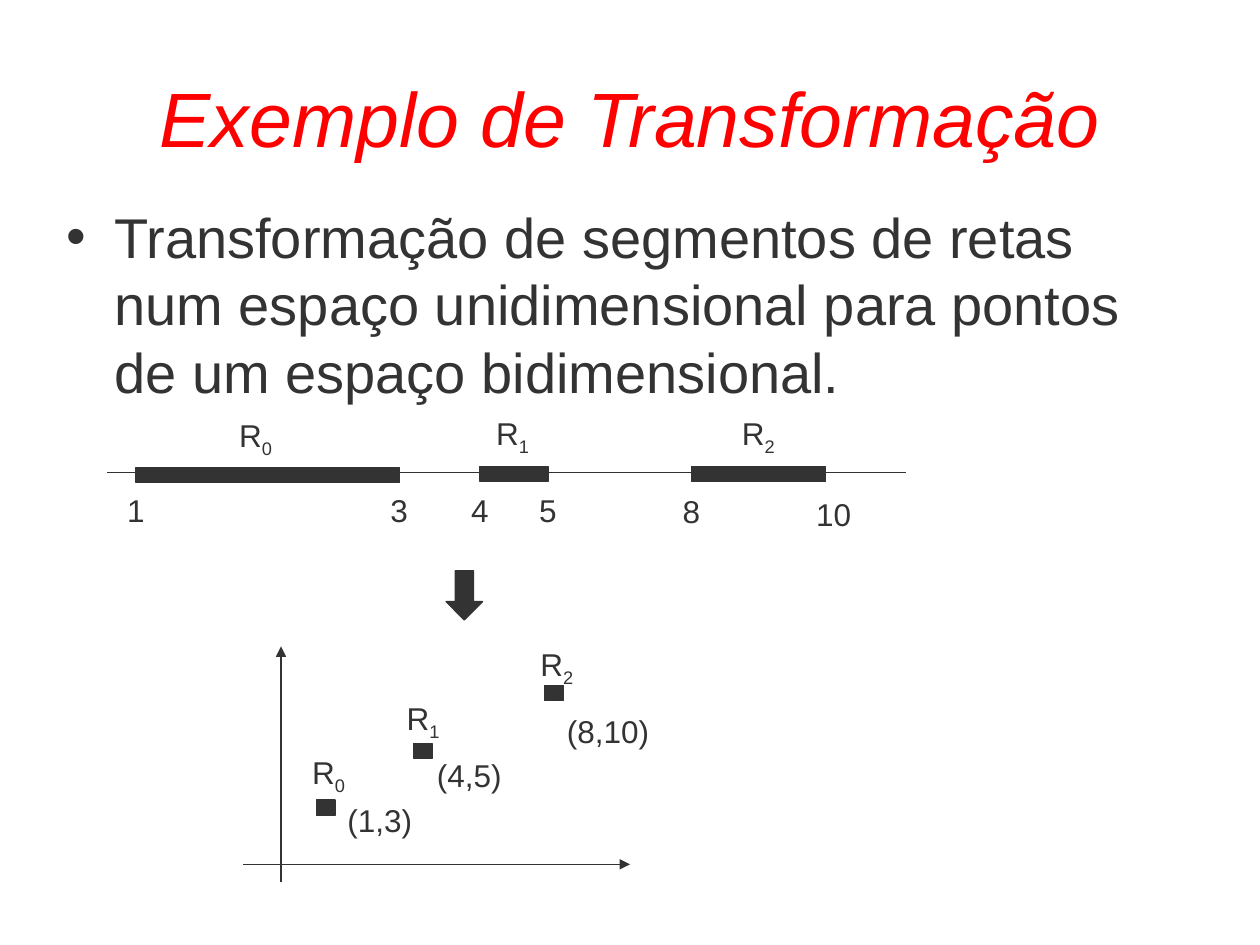
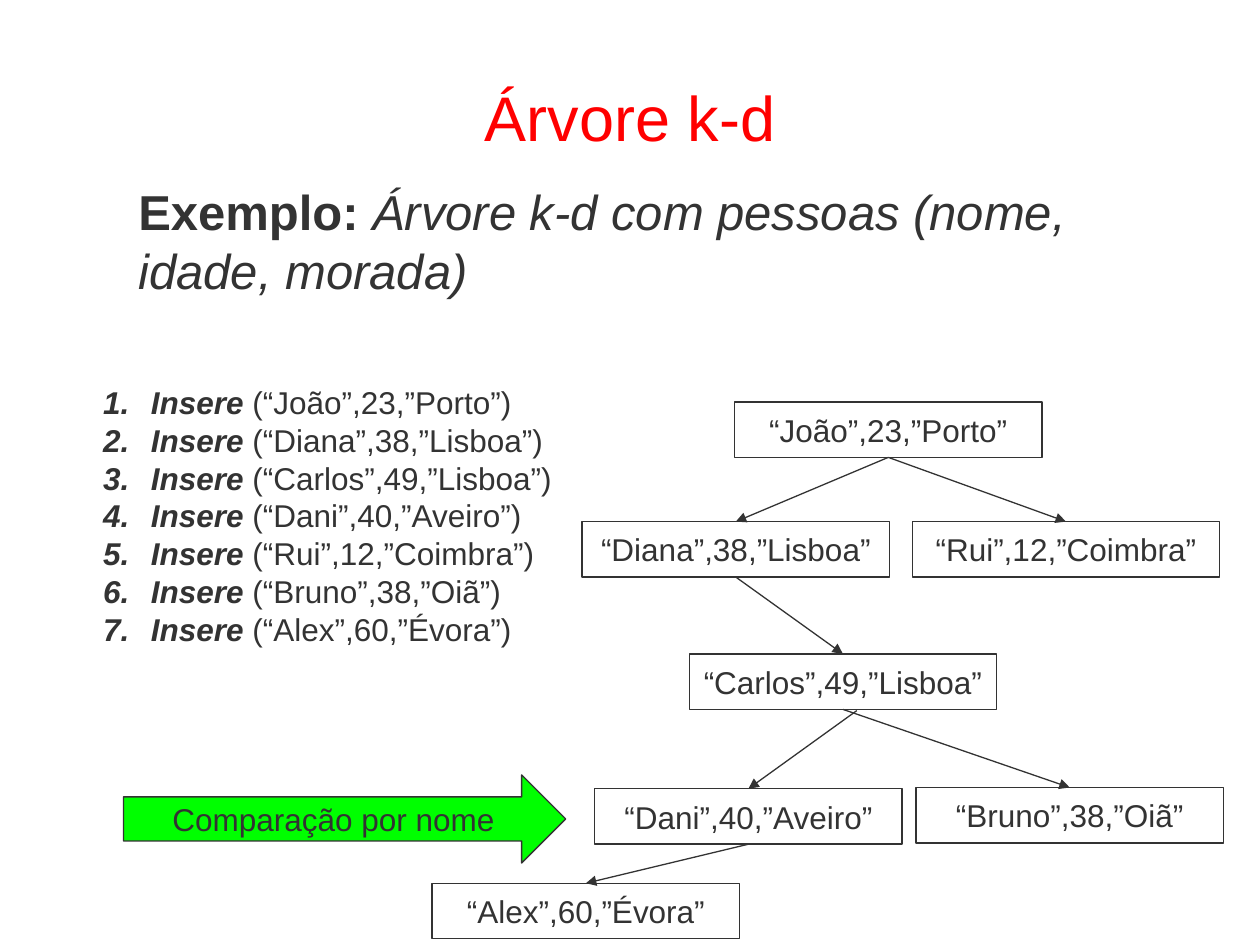
from lxml.etree import SubElement
from pptx import Presentation
from pptx.dml.color import RGBColor
from pptx.enum.shapes import MSO_CONNECTOR, MSO_SHAPE
from pptx.enum.text import MSO_ANCHOR, PP_ALIGN
from pptx.oxml.ns import qn
from pptx.util import Inches, Pt

COLORS = {"title": "FF0000", "ink": "333333", "node": "FFFFFF", "note": "00FF00"}
FONT = "Arial"
TOP, BOTTOM = 0, 2


def rgb(name):
    return RGBColor.from_string(COLORS[name])


class Deck:
    def __init__(self):
        self.presentation = Presentation()
        self.presentation.slide_width = Inches(10)
        self.presentation.slide_height = Inches(7.5)
        self.slide = None

    def style(self, paragraph, size=18, color="ink", italic=None):
        font = paragraph.font
        font.name, font.size, font.italic = FONT, Pt(size), italic
        font.color.rgb = rgb(color)

    def new_slide(self, heading, size, italic=False):
        self.slide = self.presentation.slides.add_slide(self.presentation.slide_layouts[5])
        title = self.slide.shapes.title
        title.left, title.top, title.width, title.height = map(Inches, (0.5, 0.3, 9, 1.25))
        title.text_frame.vertical_anchor = MSO_ANCHOR.MIDDLE
        paragraph = title.text_frame.paragraphs[0]
        paragraph.text = heading
        paragraph.alignment = PP_ALIGN.CENTER
        self.style(paragraph, size, "title", italic)

    def text_frame(self, x, y, width, height):
        frame = self.slide.shapes.add_textbox(*map(Inches, (x, y, width, height))).text_frame
        frame.word_wrap = True
        return frame

    def indent(self, paragraph, left, hanging=0, bullet=None, **bullet_settings):
        """Set the indent, and optionally a bullet element such as buChar."""
        properties = paragraph._p.get_or_add_pPr()
        properties.set("marL", str(Inches(left)))
        properties.set("indent", str(-Inches(hanging)))
        if bullet:
            bullet_color = SubElement(properties, qn("a:buClr"))
            SubElement(bullet_color, qn("a:srgbClr"), val=COLORS["ink"])
            SubElement(properties, qn("a:buFont"), typeface=FONT)
            SubElement(properties, qn(f"a:{bullet}"), **bullet_settings)

    def label(self, x, y, text, subscript=None):
        """Place a short text in a box with room for all its characters."""
        width = 0.3 + 0.12 * len(text + (subscript or ""))
        paragraph = self.text_frame(x, y, width, 0.44 if subscript else 0.4).paragraphs[0]
        paragraph.add_run().text = text
        if subscript:
            index = paragraph.add_run()
            index.text = subscript
            index._r.get_or_add_rPr().set("baseline", "-25000")
        self.style(paragraph)

    def shape(self, x, y, width, height, fill="ink", kind=MSO_SHAPE.RECTANGLE, text=None):
        shape = self.slide.shapes.add_shape(kind, *map(Inches, (x, y, width, height)))
        shape.shadow.inherit = False
        shape.fill.solid()
        shape.fill.fore_color.rgb = rgb(fill)
        shape.line.color.rgb = rgb("ink")
        shape.line.width = Pt(0.75)
        if text:
            frame = shape.text_frame
            frame.word_wrap = False
            frame.vertical_anchor = MSO_ANCHOR.MIDDLE
            paragraph = frame.paragraphs[0]
            paragraph.text = text
            paragraph.alignment = PP_ALIGN.CENTER
            self.style(paragraph)
        return shape

    def line(self, x1, y1, x2, y2, arrow=True):
        line = self.slide.shapes.add_connector(
            MSO_CONNECTOR.STRAIGHT, *map(Inches, (x1, y1, x2, y2)))
        line.line.color.rgb = rgb("ink")
        line.line.width = Pt(0.75)
        if arrow:
            SubElement(line.line._get_or_add_ln(), qn("a:tailEnd"), type="triangle")
        SubElement(line._element.spPr, qn("a:effectLst"))
        return line

    def branch(self, parent, child, start=None):
        """Join parent to child, or leave from a free start point."""
        edge = self.line(*(start or (0, 0)), 0, 0)
        if not start:
            edge.begin_connect(parent, BOTTOM)
        edge.end_connect(child, TOP)


def transformation_slide(deck):
    deck.new_slide("Exemplo de Transformação", 44, italic=True)
    statement = deck.text_frame(0.43, 1.56, 9, 1.7).paragraphs[0]
    statement.text = ("Transformação de segmentos de retas num espaço unidimensional "
                      "para pontos de um espaço bidimensional.")
    deck.indent(statement, 0.38, 0.38, "buChar", char="•")
    deck.style(statement, 32)

    # left, top, width, name position, (end value, label top) pairs
    segments = [
        (1.08, 3.71, 2.09, (1.8, 3.25), (("1", 3.85), ("3", 3.85))),
        (3.81, 3.7, 0.54, (3.84, 3.24), (("4", 3.85), ("5", 3.85))),
        (5.49, 3.7, 1.06, (5.79, 3.24), (("8", 3.86), ("10", 3.88))),
    ]
    deck.line(0.85, 3.75, 7.19, 3.75, arrow=False)
    for index, (x, y, width, name_at, ends) in enumerate(segments):
        deck.shape(x, y, width, 0.12)
        deck.label(*name_at, "R", str(index))
        for edge, (value, label_y) in zip((x, x + width), ends):
            deck.label(edge - 0.17, label_y, value)

    deck.shape(3.54, 4.53, 0.29, 0.39, kind=MSO_SHAPE.DOWN_ARROW)
    deck.line(2.23, 7, 2.23, 5.13)
    deck.line(1.93, 6.86, 5, 6.86)

    # marker, name and coordinate positions
    points = [
        ((2.51, 6.35), (2.38, 5.93), (2.66, 6.31), "(1,3)"),
        ((3.28, 5.9), (3.13, 5.5), (3.37, 5.95), "(4,5)"),
        ((4.32, 5.44), (4.19, 5.07), (4.4, 5.6), "(8,10)"),
    ]
    for index, (marker_at, name_at, pair_at, pair) in enumerate(points):
        deck.shape(*marker_at, 0.15, 0.12)
        deck.label(*name_at, "R", str(index))
        deck.label(*pair_at, pair)


def tree_slide(deck):
    deck.new_slide("Árvore k-d", 36)
    example = deck.text_frame(0.5, 1.39, 9, 1.2).paragraphs[0]
    deck.indent(example, 0.5)
    lead, topic = example.add_run(), example.add_run()
    lead.text, lead.font.bold = "Exemplo: ", True
    topic.text, topic.font.italic = "Árvore k-d com pessoas (nome, idade, morada)", True
    deck.style(example, 28)

    # age, town and node position, in order of insertion
    people = {
        "João": ("23", "Porto", 5.83, 3.19),
        "Diana": ("38", "Lisboa", 4.62, 4.14),
        "Carlos": ("49", "Lisboa", 5.47, 5.19),
        "Dani": ("40", "Aveiro", 4.72, 6.26),
        "Rui": ("12", "Coimbra", 7.24, 4.14),
        "Bruno": ("38", "Oiã", 7.27, 6.25),
        "Alex": ("60", "Évora", 3.43, 7.01),
    }
    insertions = deck.text_frame(0.22, 2.99, 4.4, 2.3)
    nodes = {}
    for name, (age, town, x, y) in people.items():
        record = f"“{name}”,{age},”{town}”"
        step = insertions.add_paragraph() if nodes else insertions.paragraphs[0]
        deck.indent(step, 0.88, 0.38, "buAutoNum", type="arabicPeriod")
        command = step.add_run()
        command.text = "Insere "
        command.font.bold = command.font.italic = True
        step.add_run().text = f"({record})"
        deck.style(step)
        nodes[name] = deck.shape(x, y, 2.44, 0.44, "node", text=record)

    for parent, child in [("João", "Diana"), ("João", "Rui"), ("Diana", "Carlos"),
                          ("Carlos", "Bruno"), ("Dani", "Alex")]:
        deck.branch(nodes[parent], nodes[child])
    deck.branch(nodes["Carlos"], nodes["Dani"], start=(6.8, 5.64))
    deck.shape(0.98, 6.15, 3.51, 0.7, "note", MSO_SHAPE.RIGHT_ARROW, "Comparação por nome")


def main():
    deck = Deck()
    transformation_slide(deck)
    tree_slide(deck)
    deck.presentation.save("out.pptx")


if __name__ == "__main__":
    main()
